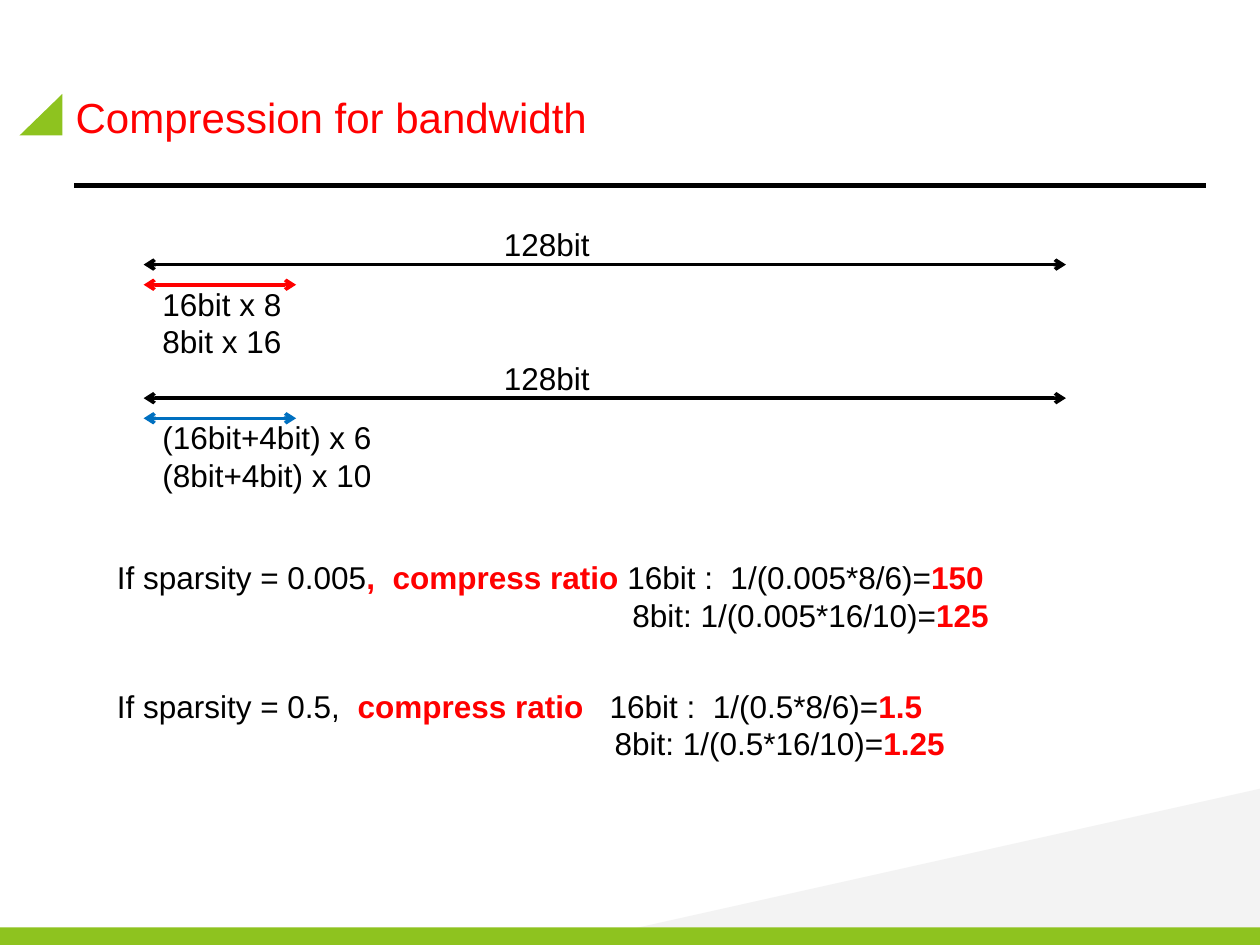
from lxml.etree import SubElement
from pptx import Presentation
from pptx.dml.color import RGBColor
from pptx.enum.shapes import MSO_CONNECTOR, MSO_SHAPE
from pptx.enum.text import MSO_ANCHOR, PP_ALIGN
from pptx.oxml.ns import qn
from pptx.util import Inches, Pt

COLORS = {"text": "000000", "red": "FF0000", "blue": "0070C0",
          "green": "8EC31F", "grey": "F2F2F2"}
FONT = "Arial"
WIDTH, HEIGHT = 10, 7.5

TITLE = "Compression for bandwidth"
WORDS = [
    {"total": "128bit", "color": "red", "width": 1.69,
     "packing": ["16bit x 8", "8bit x 16"]},
    {"total": "128bit", "color": "blue", "width": 2.32,
     "packing": ["(16bit+4bit) x 6", "(8bit+4bit) x 10"]},
]
RATIOS = [
    {"indent": 4.09, "tab": None, "lines": [
        [("If sparsity = 0.005", False), (",  compress ratio ", True),
         ("16bit :  1/(0.005*8/6)=", False), ("150", True)],
        [("8bit: 1/(0.005*16/10)=", False), ("125", True)]]},
    {"indent": 3.95, "tab": 3.91, "lines": [
        [("If sparsity = 0.5,  ", False), ("compress ratio\t", True),
         ("16bit :  1/(0.5*8/6)=", False), ("1.5", True)],
        [("8bit: 1/(0.5*16/10)=", False), ("1.25", True)]]},
]

WORD_LEFT, WORD_RIGHT, PART_RIGHT = 1.14, 8.46, 2.35
WORD_TOP, WORD_PITCH = 2.1, 1.06
RATIO_TOP, RATIO_PITCH = 4.38, 1.02


def rgb(name):
    return RGBColor.from_string(COLORS[name])


def add_shape(page, kind, left, top, width, height, color, rotation=0, alpha=None):
    shape = page.shapes.add_shape(kind, Inches(left), Inches(top), Inches(width), Inches(height))
    shape.shadow.inherit = False
    shape.rotation = rotation
    shape.fill.solid()
    shape.fill.fore_color.rgb = rgb(color)
    shape.line.fill.background()
    if alpha:
        tint = shape.fill._xPr.find(qn("a:solidFill"))[0]
        SubElement(tint, qn("a:alpha"), val=str(alpha * 1000))


def add_line(page, left, right, top, color, weight, arrows=True):
    line = page.shapes.add_connector(
        MSO_CONNECTOR.STRAIGHT, Inches(left), Inches(top), Inches(right), Inches(top))
    line.line.color.rgb = rgb(color)
    line.line.width = Pt(weight)
    if arrows:
        for end in ("a:headEnd", "a:tailEnd"):
            SubElement(line.line._get_or_add_ln(), qn(end), type="arrow")
    SubElement(line._element.spPr, qn("a:effectLst"))


def add_span(para, text, size, color="text", bold=False):
    span = para.add_run()
    span.text = text
    span.font.name = FONT
    span.font.size = Pt(size)
    span.font.bold = bold
    span.font.color.rgb = rgb(color)


def add_text(page, left, top, width, lines, indent=0, tab=None):
    height = 0.09 + 0.31 * len(lines)
    box = page.shapes.add_textbox(Inches(left), Inches(top), Inches(width), Inches(height))
    frame = box.text_frame
    frame.word_wrap = True
    for row, spans in enumerate(lines):
        para = frame.add_paragraph() if row else frame.paragraphs[0]
        properties = para._p.get_or_add_pPr()
        if row and indent:
            properties.set("marL", str(Inches(indent)))
        if tab and not row:
            stops = SubElement(properties, qn("a:tabLst"))
            SubElement(stops, qn("a:tab"), pos=str(Inches(tab)), algn="l")
        for text, strong in spans:
            add_span(para, text, 18, "red" if strong else "text", strong)


def add_title(page):
    title = page.shapes.title
    title.left, title.top = Inches(0.5), Inches(0.3)
    title.width, title.height = Inches(9), Inches(1.25)
    title.text_frame.vertical_anchor = MSO_ANCHOR.MIDDLE
    para = title.text_frame.paragraphs[0]
    para.alignment = PP_ALIGN.LEFT
    add_span(para, TITLE, 24, "red")


def main():
    deck = Presentation()
    deck.slide_width, deck.slide_height = Inches(WIDTH), Inches(HEIGHT)
    page = deck.slides.add_slide(deck.slide_layouts[5])

    add_shape(page, MSO_SHAPE.RIGHT_TRIANGLE, 6.52, 4.05, 1.27, 5.69, "grey", 270, 90)
    add_shape(page, MSO_SHAPE.RIGHT_TRIANGLE, 0.16, 0.74, 0.33, 0.34, "green", 270)
    add_shape(page, MSO_SHAPE.RECTANGLE, 0, HEIGHT - 0.14, WIDTH, 0.14, "green")
    add_title(page)
    add_line(page, 0.59, 9.57, 1.47, "text", 3, arrows=False)

    for index, word in enumerate(WORDS):
        top = WORD_TOP + index * WORD_PITCH
        add_line(page, WORD_LEFT, WORD_RIGHT, top, "text", 2)
        add_line(page, WORD_LEFT, PART_RIGHT, top + 0.16, word["color"], 2)
        add_text(page, 3.9, top - 0.36, 1.69, [[(word["total"], False)]])
        add_text(page, 1.19, top + 0.11, word["width"],
                 [[(line, False)] for line in word["packing"]])

    for index, ratio in enumerate(RATIOS):
        add_text(page, 0.83, RATIO_TOP + index * RATIO_PITCH, 8.27,
                 ratio["lines"], ratio["indent"], ratio["tab"])

    deck.save("out.pptx")


if __name__ == "__main__":
    main()
